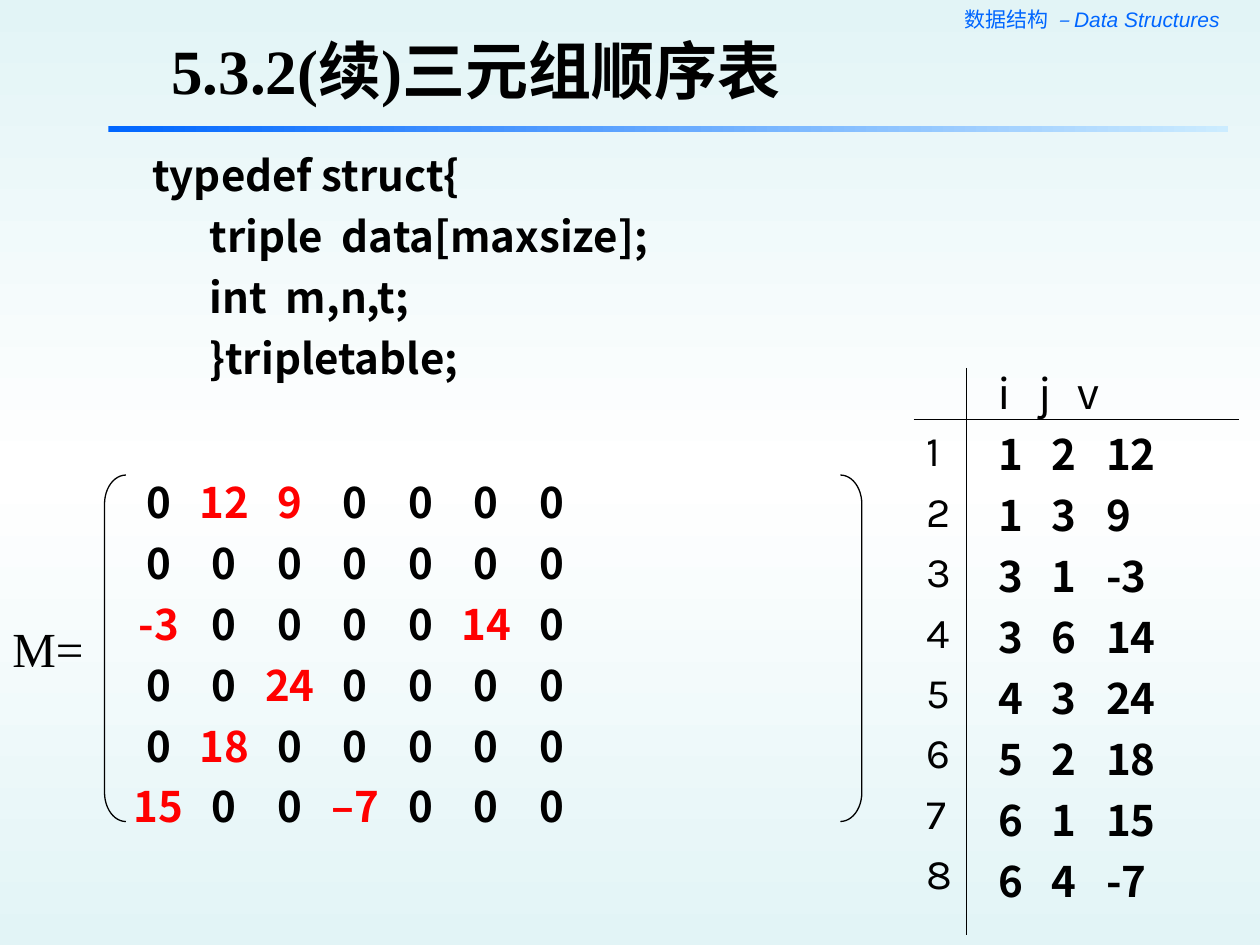
from pptx import Presentation
from pptx.dml.color import RGBColor
from pptx.enum.shapes import MSO_CONNECTOR, MSO_SHAPE
from pptx.enum.text import MSO_ANCHOR, PP_ALIGN
from pptx.oxml.ns import qn
from pptx.util import Inches, Pt
from copy import deepcopy
from lxml import etree

RECTANGLE = MSO_SHAPE.RECTANGLE
LEFT_BRACKET, RIGHT_BRACKET = MSO_SHAPE.LEFT_BRACKET, MSO_SHAPE.RIGHT_BRACKET
STRAIGHT = MSO_CONNECTOR.STRAIGHT
LEFT, RIGHT, BOTTOM = PP_ALIGN.LEFT, PP_ALIGN.RIGHT, MSO_ANCHOR.BOTTOM

COLORS = {"ink": "000000", "nonzero": "FF0000", "brand": "0066FF",
          "pale": "CCECFF", "edge": "E2F4F6", "middle": "FFFFFF"}
SERIF, SANS, DIGITS, HEADER = "Times New Roman", "Noto Sans CJK SC", "Karla", "Arial"
CODE = ["typedef struct{", "      triple  data[maxsize];",
        "      int  m,n,t;", "      }tripletable;"]
MATRIX = [["0", "12", "9", "0", "0", "0", "0"],
          ["0", "0", "0", "0", "0", "0", "0"],
          ["-3", "0", "0", "0", "0", "14", "0"],
          ["0", "0", "24", "0", "0", "0", "0"],
          ["0", "18", "0", "0", "0", "0", "0"],
          ["15", "0", "0", "–7", "0", "0", "0"]]
TRIPLES = [("1", "2", "12"), ("1", "3", "9"), ("3", "1", "-3"), ("3", "6", "14"),
           ("4", "3", "24"), ("5", "2", "18"), ("6", "1", "15"), ("6", "4", "-7")]


def rgb(name):
    return RGBColor.from_string(COLORS[name])


class SlideBuilder:
    def __init__(self, slide):
        self.slide = slide

    def background(self):
        fill = self.slide.background.fill
        fill.gradient()
        fill.gradient_angle = 90
        first = self.slide.element.xpath(".//p:bg//a:gs")[0]
        first.addnext(deepcopy(first))
        for stop, position, color in zip(fill.gradient_stops, (0, 0.5, 1),
                                         ("edge", "middle", "edge")):
            stop.position = position
            stop.color.rgb = rgb(color)

    def run(self, paragraph, text, size=24, font=SANS, color="ink", bold=False, italic=False):
        run = paragraph.add_run()
        run.text = text
        run.font.size, run.font.name = Pt(size), font
        run.font.bold, run.font.italic = bold, italic
        run.font.color.rgb = rgb(color)
        east_asian = etree.SubElement(run.font._element, qn("a:ea"))
        east_asian.set("typeface", SANS)

    def box(self, left, top, width, height, insets=(0.1, 0.05)):
        frame = self.slide.shapes.add_textbox(
            Inches(left), Inches(top), Inches(width), Inches(height)).text_frame
        frame.word_wrap = True
        frame.margin_left = frame.margin_right = Inches(insets[0])
        frame.margin_top = frame.margin_bottom = Inches(insets[1])
        return frame

    def row(self, frame, index, stops=(), align="l"):
        paragraph = frame.add_paragraph() if index else frame.paragraphs[0]
        paragraph.line_spacing = Pt(28.8)
        paragraph.space_before = Pt(6 if index else 0)
        if stops:
            tabs = etree.SubElement(paragraph._p.get_or_add_pPr(), qn("a:tabLst"))
            for stop in stops:
                etree.SubElement(tabs, qn("a:tab"), pos=str(Inches(stop)), algn=align)
        return paragraph

    def title(self, text):
        title = self.slide.shapes.title
        title.left, title.top = Inches(1.26), Inches(0.43)
        title.width, title.height = Inches(7.21), Inches(0.46)
        frame = title.text_frame
        frame.vertical_anchor = BOTTOM
        frame.margin_top = frame.margin_bottom = Inches(0.04)
        frame.paragraphs[0].alignment = LEFT
        self.run(frame.paragraphs[0], text, 36, SERIF, bold=True)

    def header(self):
        paragraph = self.box(6, 0, 3.78, 0.3).paragraphs[0]
        paragraph.alignment = RIGHT
        self.run(paragraph, "数据结构 ", 12, SERIF, "brand")
        self.run(paragraph, " – Data Structures", 12, HEADER, "brand", italic=True)

    def shape(self, kind, left, top, width, height):
        shape = self.slide.shapes.add_shape(
            kind, Inches(left), Inches(top), Inches(width), Inches(height))
        shape.shadow.inherit = False
        return shape

    def divider(self):
        bar = self.shape(RECTANGLE, 0.86, 1, 8.89, 0.05)
        bar.line.fill.background()
        bar.fill.gradient()
        bar.fill.gradient_angle = 0
        for stop, color in zip(bar.fill.gradient_stops, ("brand", "pale")):
            stop.color.rgb = rgb(color)

    def bracket(self, kind, left):
        bracket = self.shape(kind, left, 3.77, 0.17, 2.75)
        bracket.adjustments[0] = 1.35
        bracket.fill.background()
        bracket.line.color.rgb = rgb("ink")
        bracket.line.width = Pt(0.75)

    def rule(self, x1, y1, x2, y2):
        rule = self.slide.shapes.add_connector(
            STRAIGHT, Inches(x1), Inches(y1), Inches(x2), Inches(y2))
        rule.line.color.rgb = rgb("ink")
        rule.line.width = Pt(0.75)
        etree.SubElement(rule._element.spPr, qn("a:effectLst"))

    def label(self, text, left, top, width, height, size, font, insets=(0.1, 0.05)):
        frame = self.box(left, top, width, height, insets)
        self.run(frame.paragraphs[0], text, size, font)

    def code(self, lines):
        frame = self.box(1.11, 1.1, 4.83, 2.35, (0.1, 0.09))
        for index, line in enumerate(lines):
            self.run(self.row(frame, index), line, bold=True)

    def matrix(self, rows):
        frame = self.box(1, 3.69, 5.75, 2.92, (0, 0.09))
        centers = [0.26 + 0.52 * column for column in range(len(rows[0]))]
        for index, values in enumerate(rows):
            paragraph = self.row(frame, index, centers, "ctr")
            for value in values:
                color = "ink" if value == "0" else "nonzero"
                self.run(paragraph, "\t" + value, color=color, bold=True)

    def triples(self, heading, rows):
        frame = self.box(7.83, 2.83, 2.08, 4.6, (0.1, 0.09))
        self.run(self.row(frame, 0, (0.32, 0.62)), "\t".join(heading))
        for index, values in enumerate(rows, 1):
            self.run(self.row(frame, index, (0.42, 0.85)), "\t".join(values), bold=True)
            self.label(str(index), 7.33, 2.89 + 0.48 * index, 0.25, 0.4, 24, DIGITS, (0.02, 0))


def main():
    presentation = Presentation()
    presentation.slide_width, presentation.slide_height = Inches(10), Inches(7.5)
    builder = SlideBuilder(presentation.slides.add_slide(presentation.slide_layouts[5]))
    builder.background()
    builder.header()
    builder.divider()
    builder.code(CODE)
    builder.title("5.3.2(续)三元组顺序表")
    builder.bracket(LEFT_BRACKET, 0.83)
    builder.bracket(RIGHT_BRACKET, 6.67)
    builder.label("M=", 0, 4.86, 0.83, 0.57, 28, SERIF)
    builder.matrix(MATRIX)
    builder.rule(7.67, 2.92, 7.67, 7.42)
    builder.triples(("i", "j", "v"), TRIPLES)
    builder.rule(7.25, 3.33, 9.83, 3.33)
    presentation.save("out.pptx")


if __name__ == "__main__":
    main()
